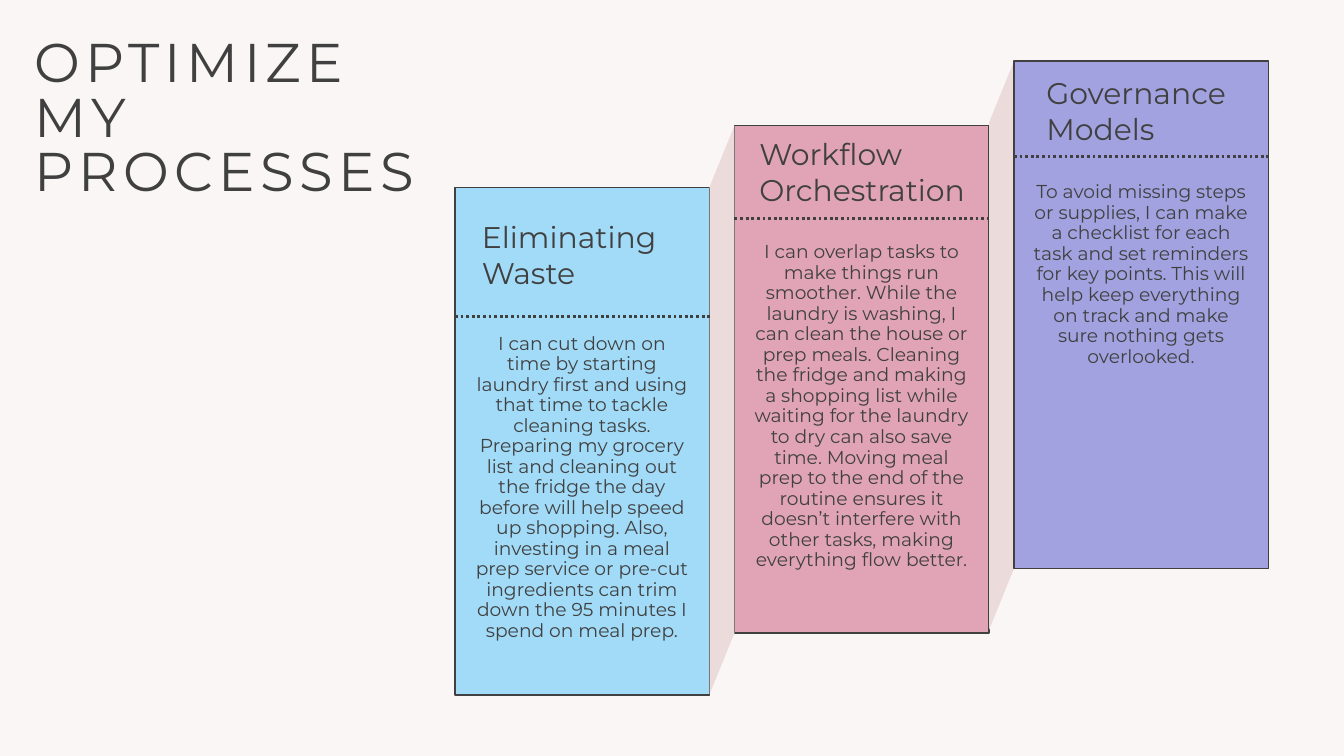
"""Build a slide of three rising panels about optimizing household processes."""
from dataclasses import dataclass

from lxml.etree import SubElement
from pptx import Presentation
from pptx.dml.color import RGBColor
from pptx.enum.dml import MSO_LINE_DASH_STYLE as Dash
from pptx.enum.shapes import MSO_CONNECTOR as Connector, MSO_SHAPE as Shape
from pptx.enum.text import MSO_ANCHOR as Anchor, MSO_AUTO_SIZE as AutoSize, PP_ALIGN as Align
from pptx.oxml.ns import qn
from pptx.util import Pt

PX = 9144
PANEL_WIDTH, PANEL_HEIGHT = 379, 755
FOLD_WIDTH, FOLD_DROP = 37, 91


def color(hex_code):
    return RGBColor.from_string(hex_code)


@dataclass
class Step:
    left: int
    top: int
    fill: str
    divider: int
    heading_box: tuple
    heading: str
    body_top: int
    body_height: int
    body: str


STEPS = [
    Step(677, 279, "A1DBF8", 471, (717, 326, 283, 107), "Eliminating Waste", 496, 485,
         "I can cut down on time by starting laundry first and using that time to tackle "
         "cleaning tasks. Preparing my grocery list and cleaning out the fridge the day before "
         "will help speed up shopping. Also, investing in a meal prep service or pre-cut "
         "ingredients can trim down the 95 minutes I spend on meal prep."),
    Step(1093, 187, "E1A4B6", 325, (1130, 202, 313, 107), "Workflow\nOrchestration", 360, 515,
         "I can overlap tasks to make things run smoother. While the laundry is washing, I can "
         "clean the house or prep meals. Cleaning the fridge and making a shopping list while "
         "waiting for the laundry to dry can also save time. Moving meal prep to the end of the "
         "routine ensures it doesn’t interfere with other tasks, making everything flow better."),
    Step(1509, 91, "A2A2E1", 233, (1557, 111, 283, 107), "Governance\nModels", 271, 274,
         "To avoid missing steps or supplies, I can make a checklist for each task and set "
         "reminders for key points. This will help keep everything on track and make sure "
         "nothing gets overlooked."),
]


class Deck:
    """Hold the style and the current slide."""

    font, ink, paper, fold_fill = "Montserrat", "404040", "FAF6F6", "EBDBDB"

    def __init__(self, width, height):
        self.file = Presentation()
        self.file.slide_width, self.file.slide_height = width * PX, height * PX
        self.slide = self.file.slides.add_slide(self.file.slide_layouts[5])
        self.shapes = self.slide.shapes
        self.slide.background.fill.solid()
        self.slide.background.fill.fore_color.rgb = color(self.paper)

    def fill_frame(self, frame, wording, size, leading, align=Align.LEFT, tracking=0):
        frame.text = wording
        frame.word_wrap = True
        frame.auto_size = AutoSize.NONE
        frame.vertical_anchor = Anchor.TOP
        frame.margin_left = frame.margin_top = frame.margin_right = frame.margin_bottom = 0
        for paragraph in frame.paragraphs:
            paragraph.alignment = align
            paragraph.line_spacing = Pt(leading)
            for run in paragraph.runs:
                run.font.name, run.font.size = self.font, Pt(size)
                run.font.color.rgb = color(self.ink)
                if tracking:
                    run.font._element.set("spc", str(tracking))

    def title(self, box, wording):
        heading = self.shapes.title
        heading.left, heading.top, heading.width, heading.height = (n * PX for n in box)
        self.fill_frame(heading.text_frame, wording, 58.4, 58.4, tracking=580)

    def text(self, box, wording, size, leading, align=Align.LEFT):
        frame = self.shapes.add_textbox(*(n * PX for n in box)).text_frame
        self.fill_frame(frame, wording, size, leading, align)

    def panel(self, step):
        box = (step.left, step.top, PANEL_WIDTH, PANEL_HEIGHT)
        panel = self.shapes.add_shape(Shape.RECTANGLE, *(n * PX for n in box))
        panel.shadow.inherit = False
        panel.fill.solid()
        panel.fill.fore_color.rgb = color(step.fill)
        panel.line.color.rgb = color(self.ink)
        panel.line.width = Pt(1.5)

    def fold(self, step):
        near, far = step.left, step.left - FOLD_WIDTH
        top, bottom = step.top, step.top + PANEL_HEIGHT
        outline = self.shapes.build_freeform(near, bottom, scale=PX)
        outline.add_line_segments(
            [(near, top), (far, top + FOLD_DROP), (far, bottom + FOLD_DROP)], close=True)
        fold = outline.convert_to_shape()
        fold.shadow.inherit = False
        fold.fill.solid()
        fold.fill.fore_color.rgb = color(self.fold_fill)
        fold.line.fill.background()

    def divider(self, left, top, width):
        divider = self.shapes.add_connector(
            Connector.STRAIGHT, left * PX, top * PX, (left + width) * PX, top * PX)
        divider.line.color.rgb = color(self.ink)
        divider.line.width = Pt(3)
        divider.line.dash_style = Dash.ROUND_DOT
        SubElement(divider._element.spPr, qn("a:effectLst"))


def main():
    deck = Deck(2000, 1125)
    deck.title((51, 58, 626, 244), "OPTIMIZE\nMY\nPROCESSES")
    waste, workflow, governance = STEPS
    deck.panel(waste)
    deck.panel(workflow)
    deck.fold(workflow)
    deck.fold(governance)
    deck.panel(governance)
    for step in STEPS:
        deck.text(step.heading_box, step.heading, 32, 38.4)
        deck.divider(step.left, step.divider, PANEL_WIDTH)
        deck.text((step.left + 28, step.body_top, 322, step.body_height),
                  step.body, 20, 22, Align.CENTER)
    deck.file.save("out.pptx")


if __name__ == "__main__":
    main()
